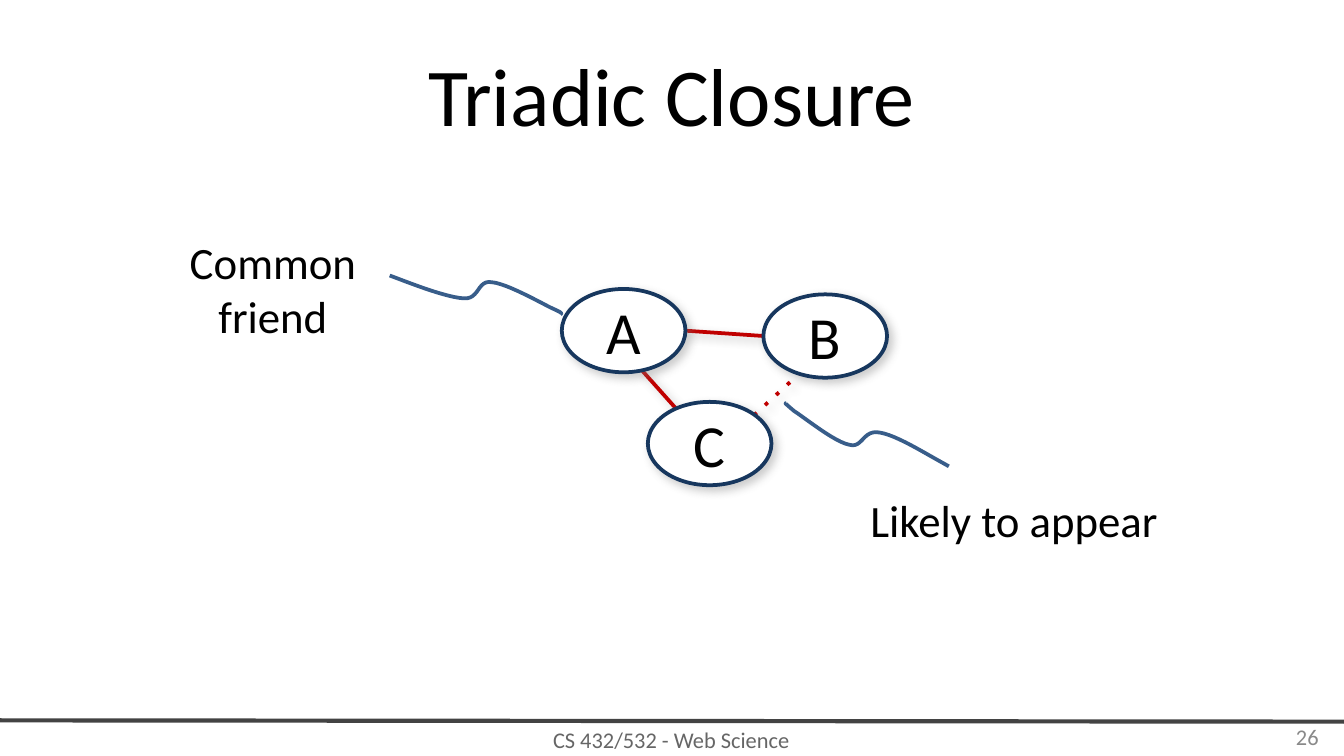
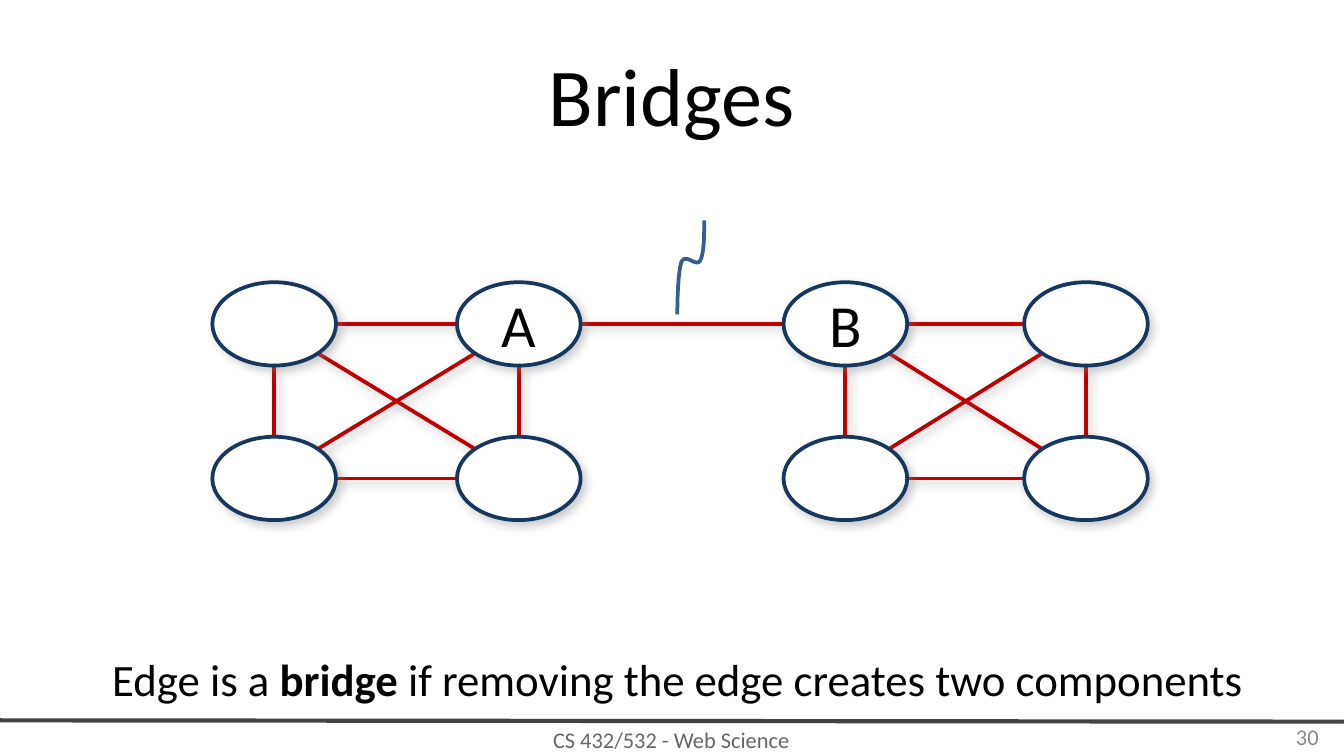
import itertools
import math

import pptx
import pptx.dml.color
import pptx.enum.shapes
import pptx.enum.text
import pptx.oxml.ns
import pptx.util
from lxml import etree
from pptx.util import Inches

FONT = "Calibri"
BLACK, WHITE = "000000", "FFFFFF"
RULE, FOOTER, NUMBER = "434343", "666666", "898989"
NODE, EDGE, CURVE = "17375E", "C00000", "385D8A"
NODE_W, NODE_H = 0.92, 0.62
ALIGN = pptx.enum.text.PP_ALIGN
MIDDLE = pptx.enum.text.MSO_ANCHOR.MIDDLE
TOP = pptx.enum.text.MSO_ANCHOR.TOP


def rgb(color):
    return pptx.dml.color.RGBColor.from_string(color)


def add_xml(parent, tag, **attrs):
    return etree.SubElement(parent, pptx.oxml.ns.qn(tag), attrs)


def set_line(sp, color, width=2):
    sp.line.color.rgb = rgb(color)
    sp.line.width = pptx.util.Pt(width)


def set_effects(sp, shadow):
    effects = add_xml(sp._element.spPr, "a:effectLst")
    if shadow:
        outer = add_xml(effects, "a:outerShdw", blurRad="63500", dist="38100",
                        dir="2700000", algn="tl", rotWithShape="0")
        color = add_xml(outer, "a:srgbClr", val="808080")
        add_xml(color, "a:alpha", val="40000")


def format_paragraph(p, size, color=BLACK, align=ALIGN.CENTER):
    p.alignment = align
    p.font.name = FONT
    p.font.size = pptx.util.Pt(size)
    p.font.color.rgb = rgb(color)


def add_text(s, box, text, size=24, color=BLACK, align=ALIGN.CENTER, anchor=TOP):
    tf = s.shapes.add_textbox(*map(Inches, box)).text_frame
    tf.word_wrap = True
    tf.vertical_anchor = anchor
    p = tf.paragraphs[0]
    p.text = text
    format_paragraph(p, size, color, align)
    return p


def add_line(s, start, end, color=EDGE, width=2, dotted=False, shadow=True):
    cx = s.shapes.add_connector(pptx.enum.shapes.MSO_CONNECTOR.STRAIGHT,
                                *map(Inches, (*start, *end)))
    set_line(cx, color, width)
    if dotted:
        add_xml(cx.line._get_or_add_ln(), "a:prstDash", val="dot")
    set_effects(cx, shadow)


def add_node(s, left, top, label=""):
    sp = s.shapes.add_shape(pptx.enum.shapes.MSO_SHAPE.OVAL,
                            *map(Inches, (left, top, NODE_W, NODE_H)))
    sp.fill.solid()
    sp.fill.fore_color.rgb = rgb(WHITE)
    set_line(sp, NODE)
    set_effects(sp, True)
    if label:
        tf = sp.text_frame
        tf.vertical_anchor = MIDDLE
        p = tf.paragraphs[0]
        p.text = label
        format_paragraph(p, 32)


def node_site(left, top, dx, dy):
    reach = math.hypot(dx, dy)
    return (left + NODE_W / 2 * (1 + dx / reach),
            top + NODE_H / 2 * (1 + dy / reach))


def bezier(points, t):
    u = 1 - t
    weights = (u ** 3, 3 * u * u * t, 3 * u * t * t, t ** 3)
    return tuple(sum(w * pt[i] for w, pt in zip(weights, points)) for i in (0, 1))


def add_curve(s, points, steps=12):
    vertices = [bezier(points[i:i + 4], k / steps)
                for i in range(0, len(points) - 1, 3)
                for k in range(1, steps + 1)]
    builder = s.shapes.build_freeform(*map(Inches, points[0]))
    builder.add_line_segments([tuple(map(Inches, v)) for v in vertices], close=False)
    sp = builder.convert_to_shape()
    sp.fill.background()
    set_line(sp, CURVE)
    set_effects(sp, False)


def add_slide(prs, title, number):
    s = prs.slides.add_slide(prs.slide_layouts[5])
    add_line(s, (0, 5.36), (10, 5.37), RULE, 2.25, shadow=False)
    add_text(s, (1.82, 5.37, 6.35, 0.26), "CS 432/532 - Web Science",
             12, FOOTER, anchor=MIDDLE)
    add_text(s, (7.58, 5.33, 2.33, 0.3), str(number),
             12, NUMBER, ALIGN.RIGHT, MIDDLE)
    sp = s.shapes.title
    sp.left, sp.top, sp.width, sp.height = map(Inches, (0.5, 0.23, 9, 0.94))
    tf = sp.text_frame
    tf.auto_size = pptx.enum.text.MSO_AUTO_SIZE.NONE
    tf.vertical_anchor = MIDDLE
    p = tf.paragraphs[0]
    p.text = title
    format_paragraph(p, 44)
    return s


def add_cluster(s, columns, rows, labels):
    corners = list(itertools.product((0, 1), repeat=2))
    for (c1, r1), (c2, r2) in itertools.combinations(corners, 2):
        dx, dy = c2 - c1, r2 - r1
        add_line(s, node_site(columns[c1], rows[r1], dx, dy),
                 node_site(columns[c2], rows[r2], -dx, -dy))
    for c, r in corners:
        add_node(s, columns[c], rows[r], labels.get((c, r), ""))


def build_triadic_closure(prs):
    s = add_slide(prs, "Triadic Closure", 26)
    add_line(s, (5.09, 2.46), (5.68, 2.5))
    add_line(s, (5.03, 3.04), (4.78, 2.76))
    add_line(s, (5.61, 3.09), (5.97, 2.76), dotted=True)
    for left, top, label in ((4.18, 2.15, "A"), (4.82, 2.99, "C"), (5.68, 2.19, "B")):
        add_node(s, left, top, label)
    add_text(s, (6.17, 3.62, 2.75, 0.38), "Likely to appear")
    add_text(s, (0.97, 1.7, 2.12, 0.67), "Common\nfriend")
    add_curve(s, [(4.17, 2.34), (4.18, 2.33), (4.19, 2.33), (4.1, 2.29),
                  (4.02, 2.25), (3.77, 2.11), (3.66, 2.1),
                  (3.55, 2.08), (3.57, 2.23), (3.45, 2.22),
                  (3.32, 2.21), (3.11, 2.13), (2.9, 2.05)])
    add_curve(s, [(5.85, 3), (5.84, 3), (5.84, 3), (5.91, 3.06),
                  (5.99, 3.11), (6.21, 3.29), (6.32, 3.31),
                  (6.42, 3.34), (6.42, 3.19), (6.55, 3.22),
                  (6.67, 3.24), (6.86, 3.36), (7.06, 3.47)])


def build_bridges(prs):
    s = add_slide(prs, "Bridges", 30)
    rows = (2.1, 3.25)
    left_columns, right_columns = (1.58, 3.4), (5.83, 7.62)
    add_line(s, node_site(left_columns[1], rows[0], 1, 0),
             node_site(right_columns[0], rows[0], -1, 0))
    add_cluster(s, left_columns, rows, {(1, 0): "A"})
    add_cluster(s, right_columns, rows, {(0, 0): "B"})
    add_curve(s, [(5.24, 1.64), (5.24, 1.76), (5.24, 1.88), (5.21, 1.94),
                  (5.18, 1.99), (5.1, 1.88), (5.07, 1.95),
                  (5.05, 2.01), (5.04, 2.18), (5.04, 2.34)])
    p = add_text(s, (0.58, 4.8, 8.92, 0.38), "Edge is a ")
    r = p.add_run()
    r.text = "bridge"
    r.font.bold = True
    p.add_run().text = " if removing the edge creates two components"


def main():
    prs = pptx.Presentation()
    prs.slide_width = Inches(10)
    prs.slide_height = prs.slide_width * 9 // 16
    build_triadic_closure(prs)
    build_bridges(prs)
    prs.save("out.pptx")


if __name__ == "__main__":
    main()
